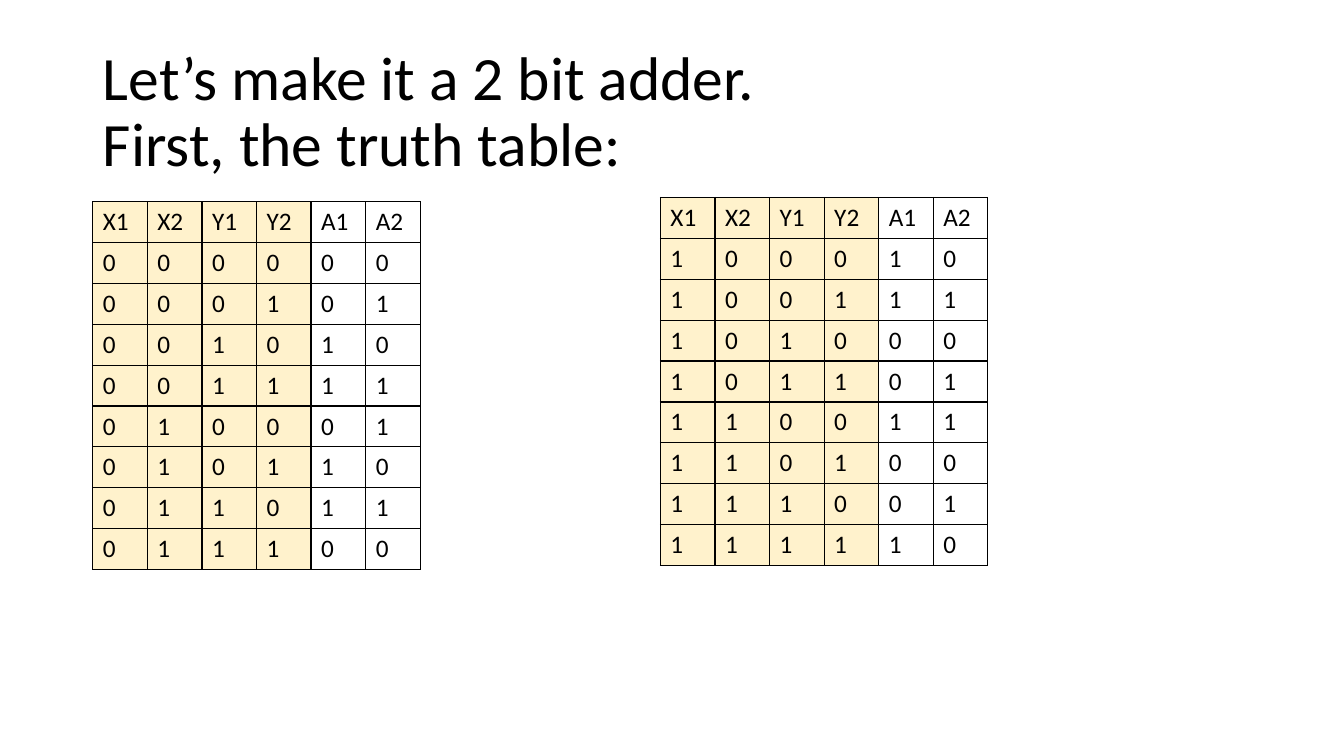
from lxml import etree
from pptx import Presentation
from pptx.dml.color import RGBColor
from pptx.enum.text import MSO_ANCHOR, PP_ALIGN
from pptx.oxml.ns import qn
from pptx.util import Inches, Pt

MIDDLE = MSO_ANCHOR.MIDDLE
LEFT = PP_ALIGN.LEFT

FONT = "Calibri"
BLACK = "000000"
INPUT_FILL = "FFF2CC"
HEADINGS = ["X1", "X2", "Y1", "Y2", "A1", "A2"]
INPUT_COUNT = 4
TABLE_WIDTH, TABLE_HEIGHT = 3.25, 3.65


def add_run(paragraph, text, size):
    run = paragraph.add_run()
    run.text = text
    run.font.name = FONT
    run.font.size = Pt(size)
    run.font.color.rgb = RGBColor.from_string(BLACK)


def add_borders(cell):
    properties = cell._tc.get_or_add_tcPr()
    for side in ("lnL", "lnR", "lnT", "lnB"):
        line = etree.SubElement(properties, qn(f"a:{side}"), w=str(Pt(1)))
        fill = etree.SubElement(line, qn("a:solidFill"))
        etree.SubElement(fill, qn("a:srgbClr"), val=BLACK)


presentation = Presentation()
presentation.slide_width = Inches(13.33)
presentation.slide_height = Inches(7.5)
slide = presentation.slides.add_slide(presentation.slide_layouts[5])

# Title
title = slide.shapes.title
title.left, title.top = Inches(0.92), Inches(0.4)
title.width, title.height = Inches(11.5), Inches(1.45)
title.text_frame.word_wrap = True
title.text_frame.vertical_anchor = MIDDLE
paragraph = title.text_frame.paragraphs[0]
paragraph.alignment = LEFT
paragraph.line_spacing = 0.9
add_run(paragraph, "Let’s make it a 2 bit adder. ", 44)
paragraph.add_line_break()
add_run(paragraph, "First, the truth table:", 44)

# Truth table: every input pair X, Y with the sum modulo 4
truth_rows = []
for x in range(4):
    for y in range(4):
        truth_rows.append(f"{x:02b}{y:02b}{(x + y) % 4:02b}")

# One table for each half, X1 = 0 and X1 = 1
for left, top, half in ((0.92, 2, truth_rows[:8]), (6.55, 1.96, truth_rows[8:])):
    rows = [HEADINGS] + half
    table = slide.shapes.add_table(
        len(rows), len(HEADINGS), Inches(left), Inches(top),
        Inches(TABLE_WIDTH), Inches(TABLE_HEIGHT)).table
    table.first_row = False
    table.horz_banding = False
    for row_index, values in enumerate(rows):
        for column_index, value in enumerate(values):
            cell = table.cell(row_index, column_index)
            add_borders(cell)
            if column_index < INPUT_COUNT:
                cell.fill.solid()
                cell.fill.fore_color.rgb = RGBColor.from_string(INPUT_FILL)
            else:
                cell.fill.background()
            add_run(cell.text_frame.paragraphs[0], value, 18)

presentation.save("out.pptx")
